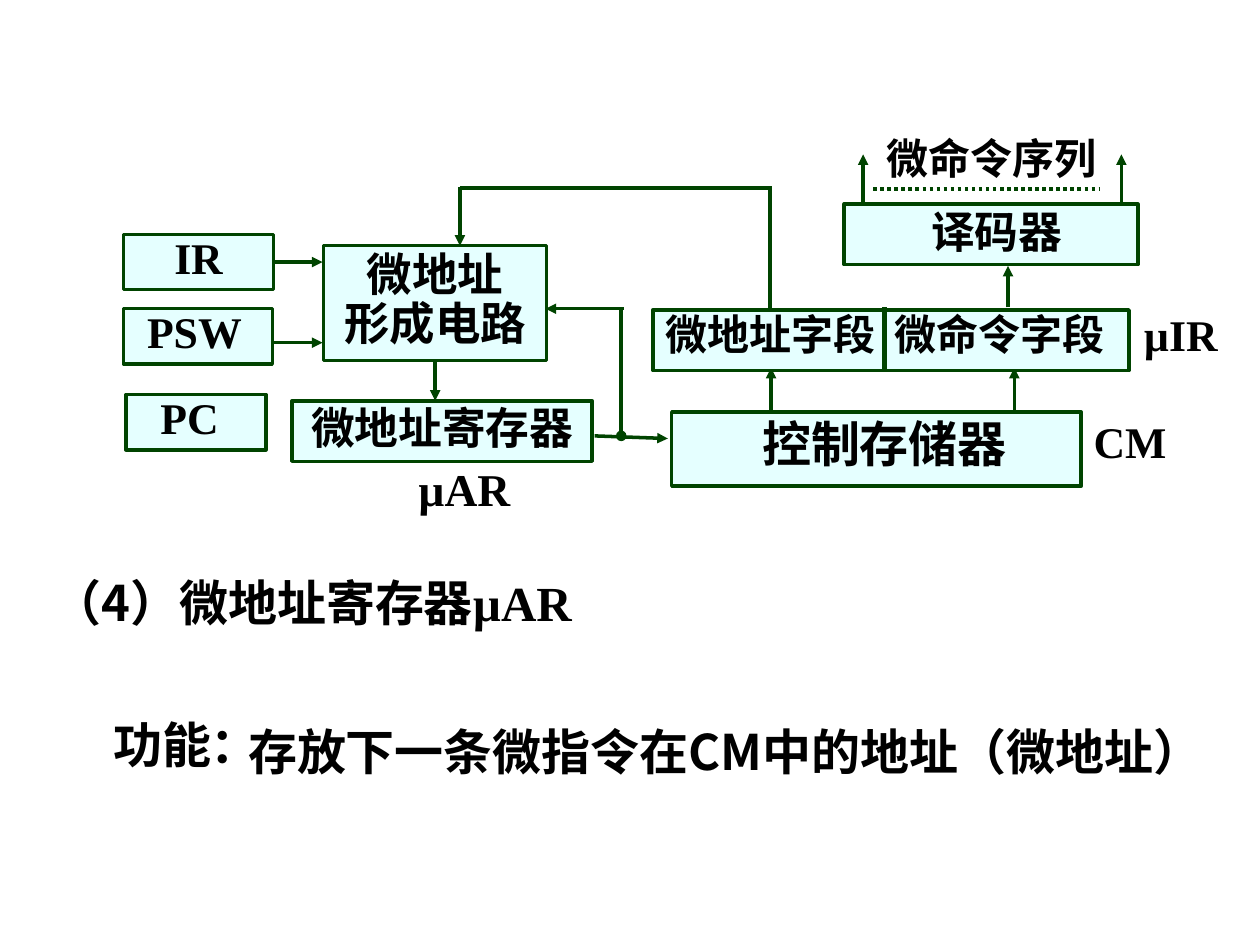
from dataclasses import dataclass
from typing import Optional

from lxml.etree import SubElement as Sub
from pptx import Presentation
from pptx.dml.color import RGBColor
from pptx.enum.dml import MSO_LINE as Dash
from pptx.enum.shapes import MSO_CONNECTOR as Conn, MSO_SHAPE as Shape
from pptx.enum.text import MSO_ANCHOR as Anchor, PP_ALIGN as Align
from pptx.oxml.ns import qn
from pptx.util import Pt

BLACK = RGBColor(0x00, 0x00, 0x00)
GREEN = RGBColor(0x00, 0x44, 0x00)
PALE = RGBColor(0xE5, 0xFF, 0xFF)
SERIF = "Times New Roman"
SANS = "Noto Sans CJK SC"
PAD = 7.2
BOTTOM, RIGHT = 2, 3


@dataclass
class Text:
    text: str
    size: float
    space: float = 1.0
    align: Align = Align.LEFT
    font: str = SERIF
    indent: float = 0
    tab: Optional[float] = None


@dataclass
class Box:
    left: float
    top: float
    width: float
    height: float
    label: Optional[Text] = None


@dataclass
class Line:
    x1: float
    y1: float
    x2: float
    y2: float
    tail: Optional[str] = "triangle"
    head: Optional[str] = None
    dash: Optional[Dash] = None
    weight: float = 2
    start: Optional[tuple[str, int]] = None


MID = Align.CENTER
BOXES = {
    "form": Box(185, 140.4, 127.4, 65.5, Text("微地址\n形成电路", 26, 0.9, MID)),
    "pc": Box(72, 225.4, 80, 31.7, Text("PC", 25, 0.8, indent=12.5)),
    "ar": Box(167, 229, 171.4, 34.6, Text("微地址寄存器", 25, 0.9, MID)),
    "decode": Box(482.4, 116.6, 167.8, 34.6,
                  Text("译码器", 25, 0.9, MID, indent=6.2)),
    "ir": Box(70.6, 133.9, 85.7, 31.7, Text("IR", 25, 0.8, MID)),
    "psw": Box(70.6, 176.4, 85, 31.7, Text("PSW", 25, 0.8, indent=6.2)),
}
STORE = [
    Box(373, 177.1, 272.2, 34.6,
        Text("微地址字段\t微命令字段", 24, 0.85, tab=131)),
    Box(383.8, 235.4, 234, 42.5),
]
LINES = [
    Line(579.6, 239.8, 579.6, 210.2),
    Line(440.6, 239.8, 440.6, 210.2),
    Line(576, 175.7, 576, 151.9),
    Line(493.2, 115.2, 493.2, 88.2),
    Line(640.8, 115.2, 640.8, 88.2),
    Line(499, 108, 628.6, 108, tail=None, dash=Dash.ROUND_DOT),
    Line(339.8, 249.1, 381.6, 250.6),
    Line(355, 249.1, 355, 176.4, tail=None, head="oval"),
    Line(356.4, 176.4, 311.8, 176.4),
    Line(248.7, 205.9, 248.7, 229, start=("form", BOTTOM)),
    Line(156.3, 149.75, 184.3, 149.75, start=("ir", RIGHT)),
    Line(154.8, 195.8, 184.3, 195.8),
    Line(262.8, 107.3, 441.4, 107.3, tail=None),
    Line(440, 107.3, 440, 177.1, tail=None),
    Line(262.8, 106.6, 262.8, 140.4),
]
SPLIT = Line(505.4, 175.7, 505.4, 212.4, tail=None, weight=2.5)
LABELS = [
    Box(225.4, 260, 95.8, 38.2, Text("µAR", 26, indent=6.5)),
    Box(617.8, 233.3, 63.4, 37.4, Text("CM", 25)),
    Box(499.7, 72, 142.6, 36, Text("微命令序列", 24)),
    Box(646.6, 172.1, 59.8, 37.4, Text("µIR", 25)),
    Box(428.4, 232.6, 164.2, 41, Text("控制存储器", 28)),
    Box(57.6, 414, 131.8, 31, Text("功能：", 28, 0.7, font=SANS)),
]
HEAD = Box(23, 332.6, 437.8, 31.7,
           Text("（4）微地址寄存器", 28, 0.7, font=SANS))
BODY = Box(141.8, 406.1, 586.8, 35.3,
           Text("存放下一条微指令在CM中的地址（微地址）", 28, Pt(40), font=SANS))


def style(run, size: float, name: str) -> None:
    font = run.font
    font.size, font.bold, font.name = Pt(size), True, name
    font.color.rgb = BLACK
    Sub(font._element, qn("a:ea"), typeface=SANS)


def write(frame, text: Text, pad: float = PAD) -> None:
    frame.word_wrap = True
    frame.vertical_anchor = Anchor.TOP
    frame.margin_left = Pt(pad + text.indent)
    frame.margin_right = Pt(pad)
    frame.margin_top = frame.margin_bottom = Pt(pad / 2)
    frame.text = text.text
    for para in frame.paragraphs:
        para.alignment = text.align
        if text.tab:
            tabs = Sub(para._p.get_or_add_pPr(), qn("a:tabLst"))
            Sub(tabs, qn("a:tab"), pos=str(Pt(text.tab)), algn="l")
        para.line_spacing = text.space
        for run in para.runs:
            style(run, text.size, text.font)


def place(box: Box) -> list[Pt]:
    return [Pt(n) for n in (box.left, box.top, box.width, box.height)]


def draw_box(shapes, box: Box):
    rect = shapes.add_shape(Shape.RECTANGLE, *place(box))
    rect.shadow.inherit = False
    rect.fill.solid()
    rect.fill.fore_color.rgb = PALE
    rect.line.color.rgb = GREEN
    rect.line.width = Pt(2)
    if box.label:
        write(rect.text_frame, box.label)
    return rect


def draw_text(shapes, box: Box, pad: float = PAD):
    frame = shapes.add_textbox(*place(box)).text_frame
    write(frame, box.label, pad)
    return frame


def draw_line(shapes, line: Line, rects: dict) -> None:
    ends = [Pt(n) for n in (line.x1, line.y1, line.x2, line.y2)]
    conn = shapes.add_connector(Conn.STRAIGHT, *ends)
    if line.start:
        name, side = line.start
        conn.begin_connect(rects[name], side)
    conn.line.color.rgb = GREEN
    conn.line.width = Pt(line.weight)
    if line.dash:
        conn.line.dash_style = line.dash
    props = conn._element.spPr
    for tag, kind in (("a:headEnd", line.head), ("a:tailEnd", line.tail)):
        if kind:
            Sub(props.find(qn("a:ln")), qn(tag), type=kind)
    Sub(props, qn("a:effectLst"))


def main() -> None:
    deck = Presentation()
    deck.slide_width, deck.slide_height = Pt(720), Pt(540)
    shapes = deck.slides.add_slide(deck.slide_layouts[6]).shapes

    frame = draw_text(shapes, HEAD)
    run = frame.paragraphs[0].add_run()
    run.text = "µAR"
    style(run, 28, SERIF)
    draw_text(shapes, BODY, pad=0)

    rects = {name: draw_box(shapes, box) for name, box in BOXES.items()}
    for line in LINES:
        draw_line(shapes, line, rects)
    for box in STORE:
        draw_box(shapes, box)
    draw_line(shapes, SPLIT, rects)
    for box in LABELS:
        draw_text(shapes, box)
    deck.save("out.pptx")


if __name__ == "__main__":
    main()
